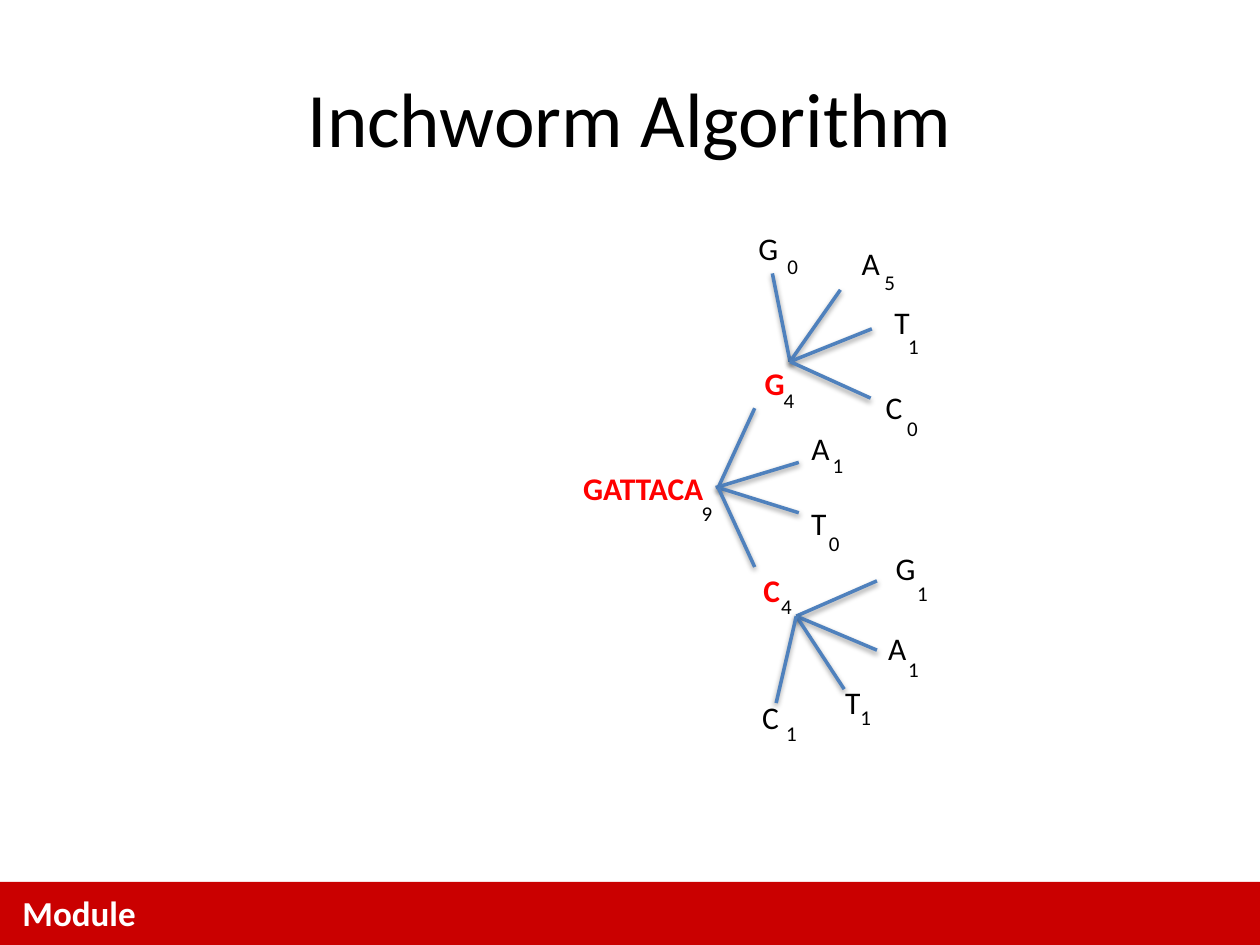
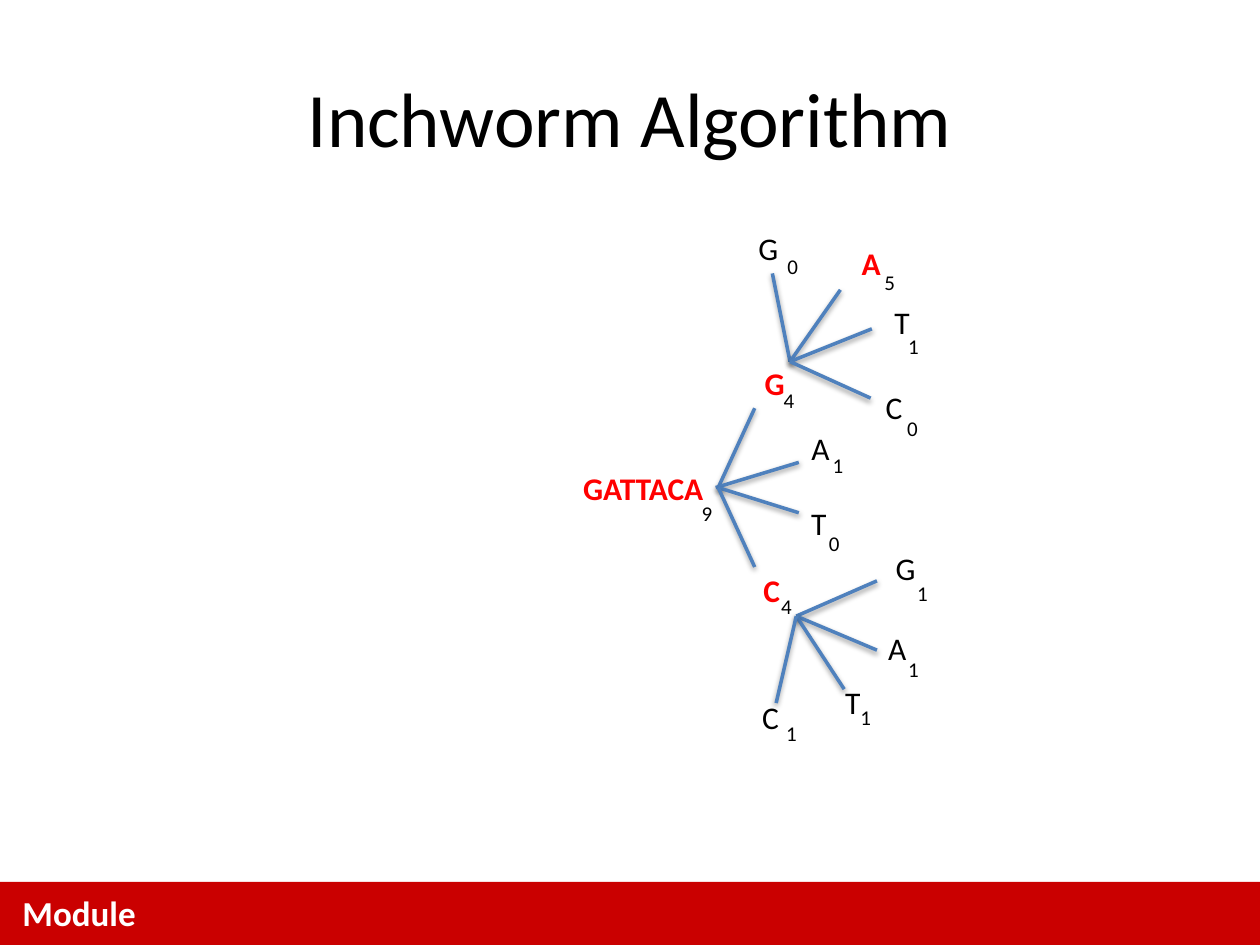
from dataclasses import dataclass

from lxml import etree
from pptx import Presentation
from pptx.dml.color import RGBColor
from pptx.enum.shapes import MSO_CONNECTOR, MSO_SHAPE
from pptx.enum.text import MSO_ANCHOR, MSO_AUTO_SIZE, PP_ALIGN
from pptx.oxml.ns import qn
from pptx.util import Emu, Pt

PX = 9144  # 100 px to the inch


@dataclass(frozen=True)
class Theme:
    text: str = "000000"
    chosen: str = "FF0000"
    branch: str = "4F81BD"
    band: str = "CA0000"
    band_text: str = "FFFFFF"
    font: str = "Calibri"
    title_size: int = 44
    band_size: int = 20
    base_size: int = 18
    count_size: int = 12
    branch_width: int = 2


THEME = Theme()


@dataclass(frozen=True)
class Extension:
    """One candidate base: label and count corners, and the branch to it."""
    label: tuple
    count: int
    count_at: tuple
    start: tuple
    end: tuple
    wraps: bool = False


# The seed k-mer and the points where branches fan out
SEED = "GATTACA"
SEED_FORK, G_FORK, C_FORK = (570, 387), (627, 287), (632, 489)
LETTER_WIDTHS = {"G": 36, "A": 35, "T": 33, "C": 34}
WRAPPED_WIDTH = 40

# Keyed by the bases added to the seed
EXTENSIONS = {
    "G": Extension((597, 284), 4, (612, 303), SEED_FORK, (599, 324)),
    "A": Extension((634, 336), 1, (651, 354), (568, 387), (634, 367)),
    "T": Extension((634, 395), 0, (648, 416), SEED_FORK, (634, 407)),
    "C": Extension((596, 448), 4, (610, 466), SEED_FORK, (599, 450)),
    "GG": Extension((592, 177), 0, (615, 196), G_FORK, (613, 217)),
    "GA": Extension((674, 189), 5, (692, 209), G_FORK, (667, 230)),
    "GT": Extension((700, 236), 1, (711, 260), G_FORK, (692, 261), True),
    "GC": Extension((693, 303), 0, (710, 325), G_FORK, (691, 316)),
    "CG": Extension((701, 431), 1, (718, 456), C_FORK, (696, 461)),
    "CA": Extension((695, 494), 1, (711, 516), C_FORK, (696, 516)),
    "CT": Extension((661, 537), 1, (673, 554), C_FORK, (670, 547), True),
    "CC": Extension((595, 549), 1, (614, 567), C_FORK, (616, 558)),
}

# Extensions marked on each slide
CHOSEN_PER_SLIDE = [{"G", "C"}, {"G", "C", "GA"}]


def px(*lengths):
    return [Emu(length * PX) for length in lengths]


def style(font, size, color=THEME.text, bold=False):
    font.name, font.size, font.bold = THEME.font, Pt(size), bold
    font.color.rgb = RGBColor.from_string(color)


def add_label(shapes, text, box, size, color=THEME.text, bold=False, wraps=False):
    label = shapes.add_textbox(*px(*box))
    label.text_frame.word_wrap = wraps
    label.text_frame.auto_size = MSO_AUTO_SIZE.SHAPE_TO_FIT_TEXT
    paragraph = label.text_frame.paragraphs[0]
    paragraph.text = text
    style(paragraph.font, size, color, bold)
    return label


def add_base(shapes, text, box, chosen, wraps=False):
    color = THEME.chosen if chosen else THEME.text
    return add_label(shapes, text, box, THEME.base_size, color, chosen, wraps)


def add_count(shapes, count, corner):
    add_label(shapes, str(count), (*corner, 29, 30), THEME.count_size)


def add_branch(shapes, start, end):
    branch = shapes.add_connector(MSO_CONNECTOR.STRAIGHT, *px(*start, *end))
    branch.line.color.rgb = RGBColor.from_string(THEME.branch)
    branch.line.width = Pt(THEME.branch_width)
    # Soft shadow straight below the line
    effects = etree.SubElement(branch._element.spPr, qn("a:effectLst"))
    shadow = etree.SubElement(effects, qn("a:outerShdw"), blurRad=str(Pt(3.1)),
                              dist=str(Pt(1.6)), dir="5400000", rotWithShape="0")
    color = etree.SubElement(shadow, qn("a:srgbClr"), val=THEME.text)
    etree.SubElement(color, qn("a:alpha"), val="38000")
    return branch


def add_title(slide, text):
    title = slide.shapes.title
    title.left, title.top, title.width, title.height = px(50, 30, 900, 125)
    title.text_frame.vertical_anchor = MSO_ANCHOR.MIDDLE
    paragraph = title.text_frame.paragraphs[0]
    paragraph.text = text
    paragraph.alignment = PP_ALIGN.CENTER
    style(paragraph.font, THEME.title_size)


def add_footer(slide):
    shapes = slide.shapes.add_group_shape().shapes
    band = shapes.add_shape(MSO_SHAPE.RECTANGLE, *px(0, 700, 1000, 50))
    band.shadow.inherit = False
    band.fill.solid()
    band.fill.fore_color.rgb = RGBColor.from_string(THEME.band)
    band.line.fill.background()
    add_label(shapes, "Module", (8, 703, 733, 43), THEME.band_size,
              THEME.band_text, bold=True, wraps=True)


def add_tree(slide, chosen):
    shapes = slide.shapes
    seed = add_base(shapes, SEED, (453, 367, 117, 40), True)
    add_count(shapes, 9, (547, 392))
    for bases, extension in EXTENSIONS.items():
        branch = add_branch(shapes, extension.start, extension.end)
        if extension.start == SEED_FORK:
            branch.begin_connect(seed, 3)
        letter = bases[-1]
        width = WRAPPED_WIDTH if extension.wraps else LETTER_WIDTHS[letter]
        add_base(shapes, letter, (*extension.label, width, 40),
                 bases in chosen, extension.wraps)
        add_count(shapes, extension.count, extension.count_at)


def main():
    presentation = Presentation()
    presentation.slide_width, presentation.slide_height = px(1000, 750)
    title_only = presentation.slide_layouts[5]
    for chosen in CHOSEN_PER_SLIDE:
        slide = presentation.slides.add_slide(title_only)
        add_title(slide, "Inchworm Algorithm")
        add_tree(slide, chosen)
        add_footer(slide)
    presentation.save("out.pptx")


if __name__ == "__main__":
    main()
